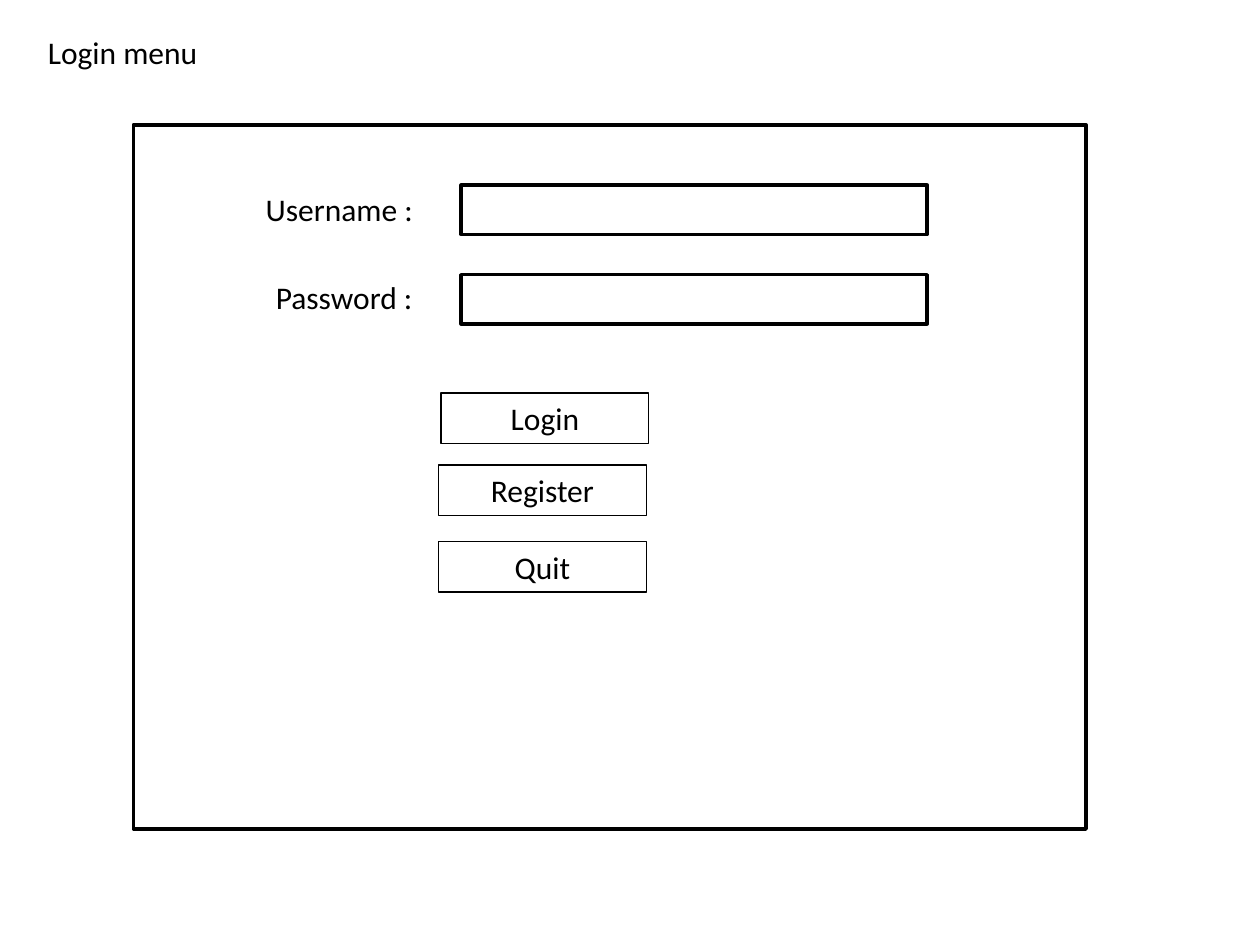
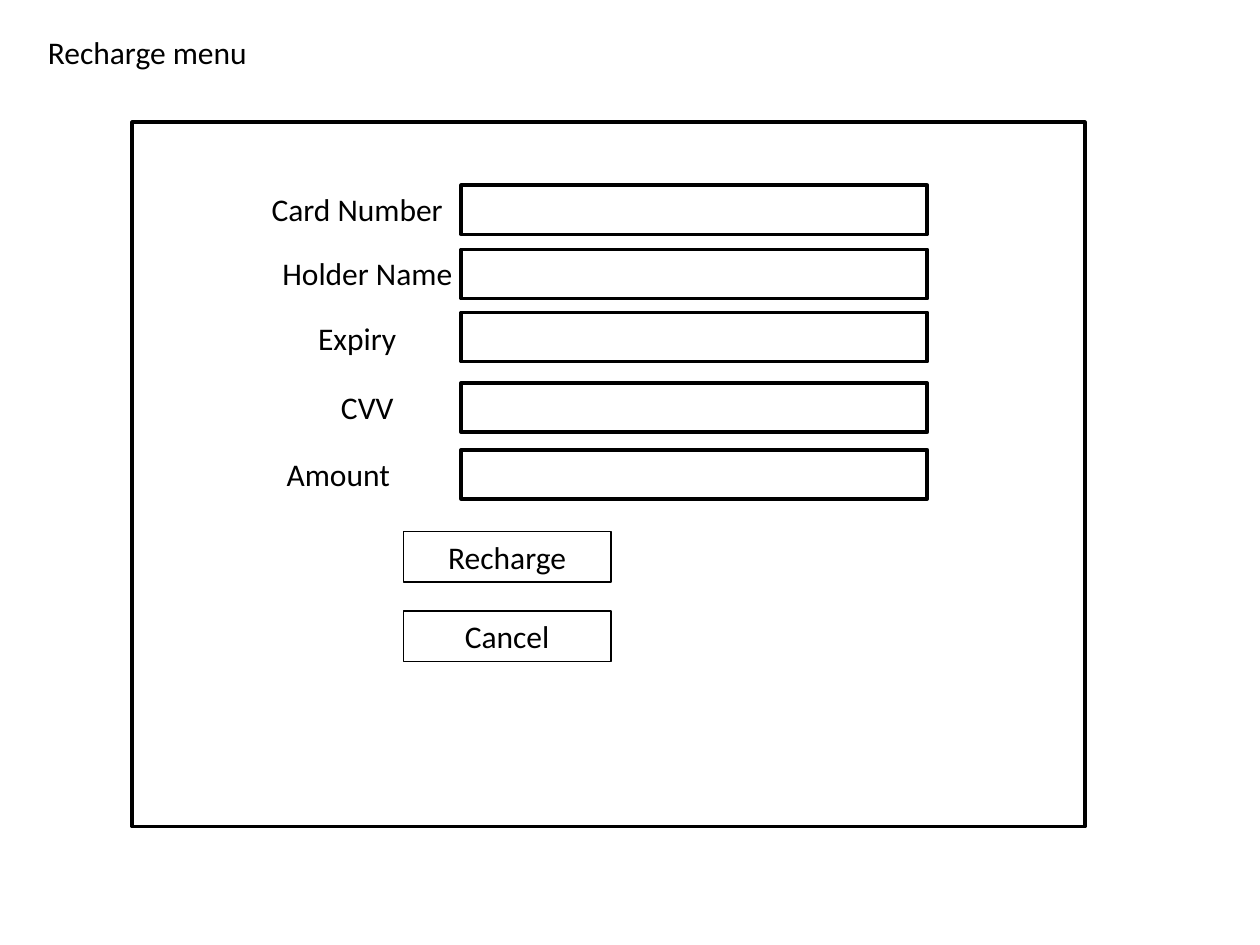
import pptx
import pptx.util
import pptx.dml.color
import pptx.enum.shapes
import pptx.enum.text

Inches = pptx.util.Inches
Pt = pptx.util.Pt
ALIGN = pptx.enum.text.PP_ALIGN

BLACK = pptx.dml.color.RGBColor(0x00, 0x00, 0x00)
WHITE = pptx.dml.color.RGBColor(0xFF, 0xFF, 0xFF)

FONT_FORMAT = {"name": "Calibri", "size": Pt(18), "bold": False}
FRAME_FORMAT = {
    "auto_size": pptx.enum.text.MSO_AUTO_SIZE.SHAPE_TO_FIT_TEXT,
    "vertical_anchor": pptx.enum.text.MSO_ANCHOR.TOP,
    "margin_left": Inches(0.1),
    "margin_right": Inches(0.1),
    "margin_top": Inches(0.05),
    "margin_bottom": Inches(0.05),
}
TEXT_HEIGHT = 0.4
LABEL_WIDTH = 1.65
BUTTON_WIDTH = 1.65
FIELD_LEFT, FIELD_WIDTH, FIELD_HEIGHT = 3.66, 3.7, 0.39
PANEL_WIDTH, PANEL_HEIGHT = 7.56, 5.59

menus = [
    {
        "title": ("Login menu", 1.4),
        "panel": (1.06, 0.99),
        "label_align": ALIGN.LEFT,
        "fields": [
            ("Username :", 2.01, 1.46, LABEL_WIDTH, 1.47),
            ("Password :", 2.09, 2.16, LABEL_WIDTH, 2.18),
        ],
        "buttons": [("Login", 3.5, 3.12), ("Register", 3.48, 3.69), ("Quit", 3.48, 4.3)],
    },
    {
        "title": ("Recharge menu", 1.8),
        "panel": (1.05, 0.97),
        "label_align": ALIGN.CENTER,
        "fields": [
            ("Card Number", 2.01, 1.46, LABEL_WIDTH, 1.47),
            ("Holder Name", 2.09, 1.97, LABEL_WIDTH, 1.98),
            ("Expiry", 2.01, 2.48, LABEL_WIDTH, 2.48),
            ("CVV", 2.09, 3.03, LABEL_WIDTH, 3.04),
            ("Amount", 1.68, 3.56, 2.01, 3.57),
        ],
        "buttons": [("Recharge", 3.2, 4.22), ("Cancel", 3.2, 4.85)],
    },
]


def write_text(holder, text, align, wrap=True):
    frame = holder.text_frame
    frame.text = text
    frame.word_wrap = wrap
    for name, value in FRAME_FORMAT.items():
        setattr(frame, name, value)
    paragraph = frame.paragraphs[0]
    paragraph.alignment = align
    font = paragraph.runs[0].font
    for name, value in FONT_FORMAT.items():
        setattr(font, name, value)
    font.color.rgb = BLACK


def add_outline(slide, left, top, width, height):
    outline = slide.shapes.add_shape(
        pptx.enum.shapes.MSO_SHAPE.RECTANGLE,
        Inches(left), Inches(top), Inches(width), Inches(height))
    outline.shadow.inherit = False
    outline.fill.solid()
    outline.fill.fore_color.rgb = WHITE
    outline.line.color.rgb = BLACK
    outline.line.width = Pt(2)


deck = pptx.Presentation()
deck.slide_width = Inches(10)
deck.slide_height = Inches(7.5)
title_only = deck.slide_layouts[5]

for menu in menus:
    slide = deck.slides.add_slide(title_only)
    add_outline(slide, *menu["panel"], PANEL_WIDTH, PANEL_HEIGHT)

    heading, heading_width = menu["title"]
    title = slide.shapes.title
    title_place = {"left": 0.28, "top": 0.21, "width": heading_width, "height": TEXT_HEIGHT}
    for name, value in title_place.items():
        setattr(title, name, Inches(value))
    write_text(title, heading, ALIGN.LEFT, wrap=False)

    for caption, left, top, width, field_top in menu["fields"]:
        add_outline(slide, FIELD_LEFT, field_top, FIELD_WIDTH, FIELD_HEIGHT)
        label = slide.shapes.add_textbox(
            Inches(left), Inches(top), Inches(width), Inches(TEXT_HEIGHT))
        write_text(label, caption, menu["label_align"])

    for caption, left, top in menu["buttons"]:
        button = slide.shapes.add_textbox(
            Inches(left), Inches(top), Inches(BUTTON_WIDTH), Inches(TEXT_HEIGHT))
        button.line.color.rgb = BLACK
        button.line.width = Pt(0.75)
        write_text(button, caption, ALIGN.CENTER)

deck.save("out.pptx")
